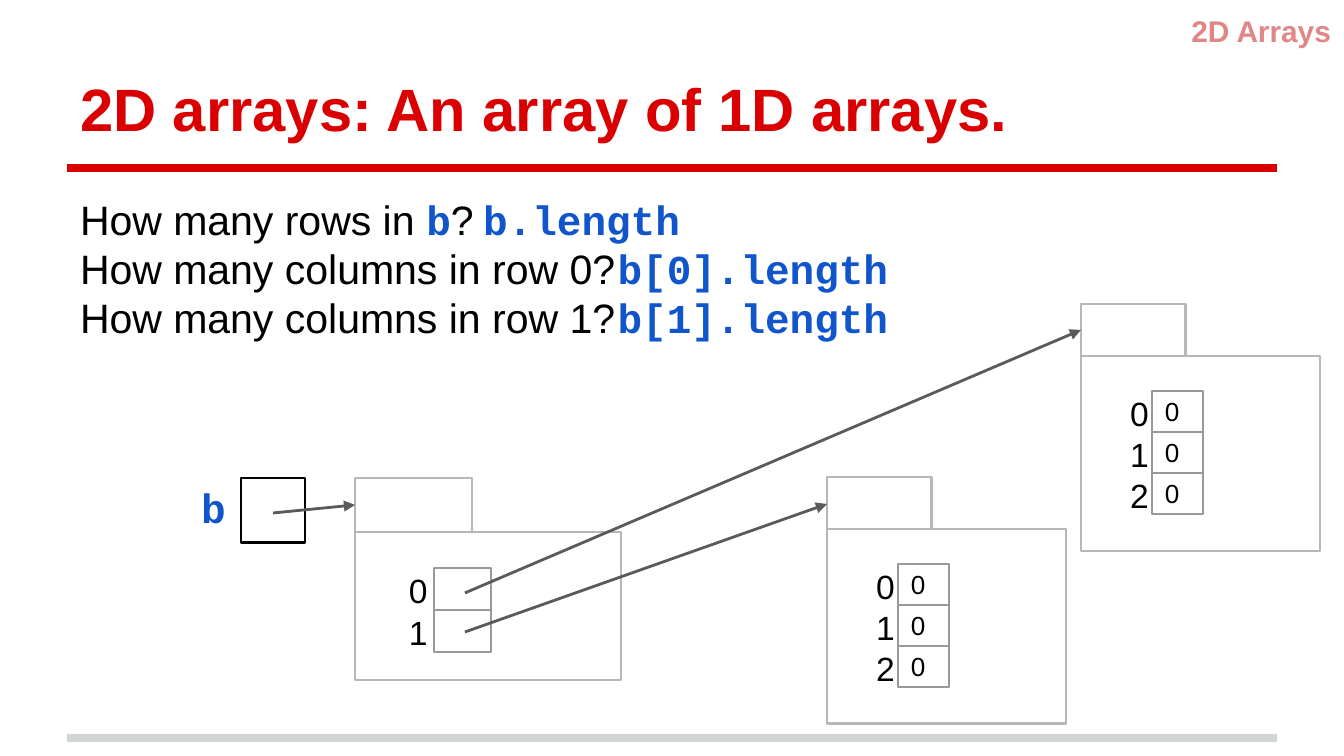
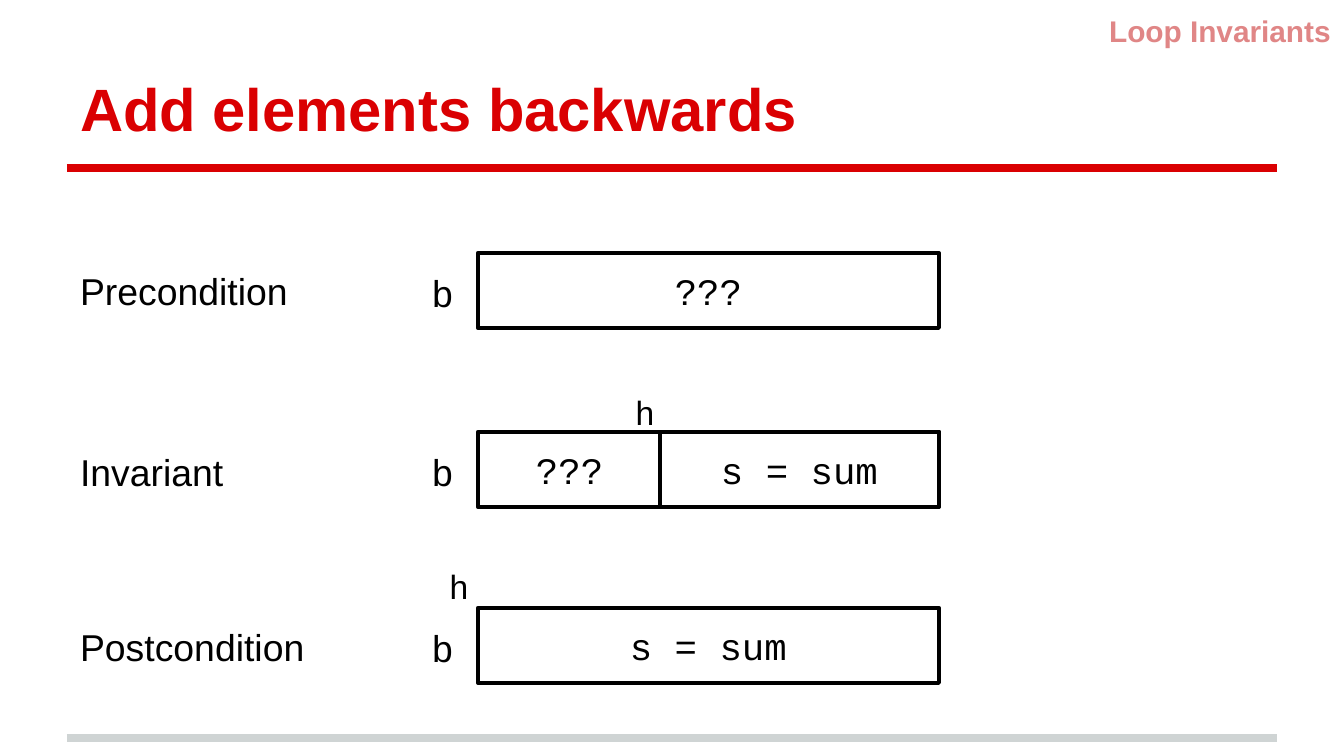
from lxml import etree
from pptx import Presentation
from pptx.dml.color import RGBColor
from pptx.enum.shapes import MSO_CONNECTOR, MSO_SHAPE
from pptx.enum.text import MSO_ANCHOR, MSO_AUTO_SIZE, PP_ALIGN
from pptx.oxml.ns import qn
from pptx.util import Pt

EMU_PER_PX = 914400 / 134.4
SANS, MONO = "Arial", "Courier New"
RED, PINK, BLUE, BLACK = "DA0002", "E08686", "1155CC", "000000"
BAND, FOLDER, CELL, ARROW = "CFD4D4", "B7B7B7", "999999", "5B595A"
LEFT, CENTER, RIGHT = PP_ALIGN.LEFT, PP_ALIGN.CENTER, PP_ALIGN.RIGHT
TOP, MIDDLE, BOTTOM = MSO_ANCHOR.TOP, MSO_ANCHOR.MIDDLE, MSO_ANCHOR.BOTTOM
INSET = 13
TITLE_ONLY, TITLE_AND_BODY = 5, 1


def px(n):
    return round(n * EMU_PER_PX)


def rgb(value):
    return RGBColor.from_string(value)


# --- Text ---
def set_frame(shape, anchor=TOP, left=INSET):
    frame = shape.text_frame
    frame.word_wrap = True
    frame.auto_size = MSO_AUTO_SIZE.NONE
    frame.vertical_anchor = anchor
    frame.margin_left = px(left)
    frame.margin_top = frame.margin_right = frame.margin_bottom = px(INSET)
    return frame


def add_run(paragraph, text, size, font=SANS, color=BLACK, bold=False):
    run = paragraph.add_run()
    run.text = text
    run.font.size, run.font.name, run.font.bold = Pt(size), font, bold
    run.font.color.rgb = rgb(color)


def write(shape, text, size, align=LEFT, anchor=TOP, left=INSET, **style):
    paragraph = set_frame(shape, anchor, left).paragraphs[0]
    paragraph.alignment = align
    add_run(paragraph, text, size, **style)


def place(shape, x, y, w, h):
    shape.left, shape.top, shape.width, shape.height = map(px, (x, y, w, h))


def add_label(shapes, box, text, size, **style):
    write(shapes.add_textbox(*map(px, box)), text, size, **style)


# --- Boxes and lines ---
def add_box(shapes, box, color=BLACK, width=1.5):
    shape = shapes.add_shape(MSO_SHAPE.RECTANGLE, *map(px, box))
    shape.shadow.inherit = False
    shape.fill.background()
    shape.line.color.rgb = rgb(color)
    shape.line.width = Pt(width)
    return shape


def add_line(slide, start, end, color, width, arrow=False):
    line = slide.shapes.add_connector(
        MSO_CONNECTOR.STRAIGHT, *map(px, start + end))
    line.line.color.rgb = rgb(color)
    line.line.width = Pt(width)
    if arrow:
        etree.SubElement(line.line._get_or_add_ln(), qn("a:tailEnd"), type="triangle")
    etree.SubElement(line._element.spPr, qn("a:effectLst"))


# --- Shared slide frame: title, section tag, two bands ---
def add_slide(prs, layout, title, section, title_width):
    slide = prs.slides.add_slide(prs.slide_layouts[layout])
    for y, color in ((738, BAND), (168, RED)):
        add_line(slide, (67, y), (1277, y), color, 4)
    place(slide.shapes.title, 67, 31, title_width, 126)
    write(slide.shapes.title, title, 32, anchor=BOTTOM, color=RED, bold=True)
    add_label(slide.shapes, (1030, 0, 314, 54), section, 16,
              align=RIGHT, color=PINK, bold=True)
    return slide


# --- Slide 1 parts ---
def add_questions(body, rows):
    """Each row: question runs, answer, and the tab stop of the answer."""
    place(body, 67, 181, 1153, 263)
    frame = set_frame(body)
    for i, (question, answer, tab) in enumerate(rows):
        paragraph = frame.add_paragraph() if i else frame.paragraphs[0]
        paragraph.alignment = LEFT
        paragraph.space_before = Pt(0)
        props = paragraph._p.get_or_add_pPr()
        props.set("marL", "0")
        props.set("indent", "0")
        etree.SubElement(props, qn("a:buNone"))
        tabs = etree.SubElement(props, qn("a:tabLst"))
        etree.SubElement(tabs, qn("a:tab"), pos=str(px(tab)), algn="l")
        for text, is_code in question + [("\t", False), (answer, True)]:
            style = dict(font=MONO, color=BLUE, bold=True) if is_code else {}
            add_run(paragraph, text, 22, **style)


def add_folder(slide, x, y, tab, body, cell, offset, label_width, values):
    """An array object: tab, body and a column of indexed cells."""
    shapes = slide.shapes.add_group_shape().shapes
    add_box(shapes, (x, y + tab[1], *body), FOLDER)
    add_box(shapes, (x, y, *tab), FOLDER)
    cell_x = x + offset[0]
    for i, value in enumerate(values):
        cell_y = y + offset[1] + i * cell[1]
        box = add_box(shapes, (cell_x, cell_y, *cell), CELL, 0.75)
        if value:
            write(box, value, 14, anchor=MIDDLE)
        add_label(shapes, (cell_x - label_width, cell_y - 11, label_width, 63),
                  str(i), 18)


def build_arrays(prs):
    slide = add_slide(prs, TITLE_AND_BODY, "2D arrays: An array of 1D arrays.",
                      "2D Arrays", 1210)
    add_questions(slide.placeholders[1], [
        ([("How many rows in ", False), ("b", True), ("?", False)],
         "b.length", 586),
        ([("How many columns in row 0?", False)], "b[0].length", 580),
        ([("How many columns in row 1?", False)], "b[1].length", 580),
    ])

    # Variable b and the outer array
    add_label(slide.shapes, (188, 469, 63, 81), "b", 22,
              font=MONO, color=BLUE, bold=True)
    add_box(slide.shapes, (241, 478, 64, 65))
    add_folder(slide, 355, 478, (117, 54), (266, 148), (57, 42), (79, 90), 38,
               ["", ""])

    # Row arrays
    for x, y in ((1081, 304), (827, 477)):
        add_folder(slide, x, y, (105, 52), (239, 195), (51, 41), (71, 87), 35,
                   ["0"] * 3)

    # References
    for start, end in (((273, 513), (355, 505)),
                       ((465, 593), (1081, 330)),
                       ((465, 632), (827, 504))):
        add_line(slide, start, end, ARROW, 1.5, arrow=True)


# --- Slide 2 parts ---
def add_state(slide, name, name_y, y, segments, h_x=None, h_y=None):
    """A named array picture; each segment is x, width, text, align, inset."""
    add_label(slide.shapes, (67, name_y, 270, 91), name, 20, anchor=MIDDLE)
    add_label(slide.shapes, (405, y + 2, 75, 75), "b", 20,
              align=CENTER, anchor=MIDDLE, font=MONO)
    for x, width, text, align, inset in segments:
        box = add_box(slide.shapes, (x, y, width, 75), width=2.25)
        write(box, text, 20, align=align, anchor=MIDDLE, left=inset, font=MONO)
    if h_x is not None:
        add_label(slide.shapes, (h_x, h_y, 50, 63), "h", 18, align=CENTER)


def build_invariants(prs):
    slide = add_slide(prs, TITLE_ONLY, "Add elements backwards",
                      "Loop Invariants", 905)
    x, width, split = 478, 461, 660
    add_state(slide, "Precondition", 245, 253,
              [(x, width, "???", CENTER, INSET)])
    add_state(slide, "Invariant", 426, 432,
              [(x, width, "???", LEFT, 58),
               (split, x + width - split, "s = sum", CENTER, INSET)], 620, 379)
    add_state(slide, "Postcondition", 601, 608,
              [(x, width, "s = sum", CENTER, INSET)], 434, 553)


def main():
    prs = Presentation()
    prs.slide_width, prs.slide_height = px(1344), px(756)
    build_arrays(prs)
    build_invariants(prs)
    prs.save("out.pptx")


main()
